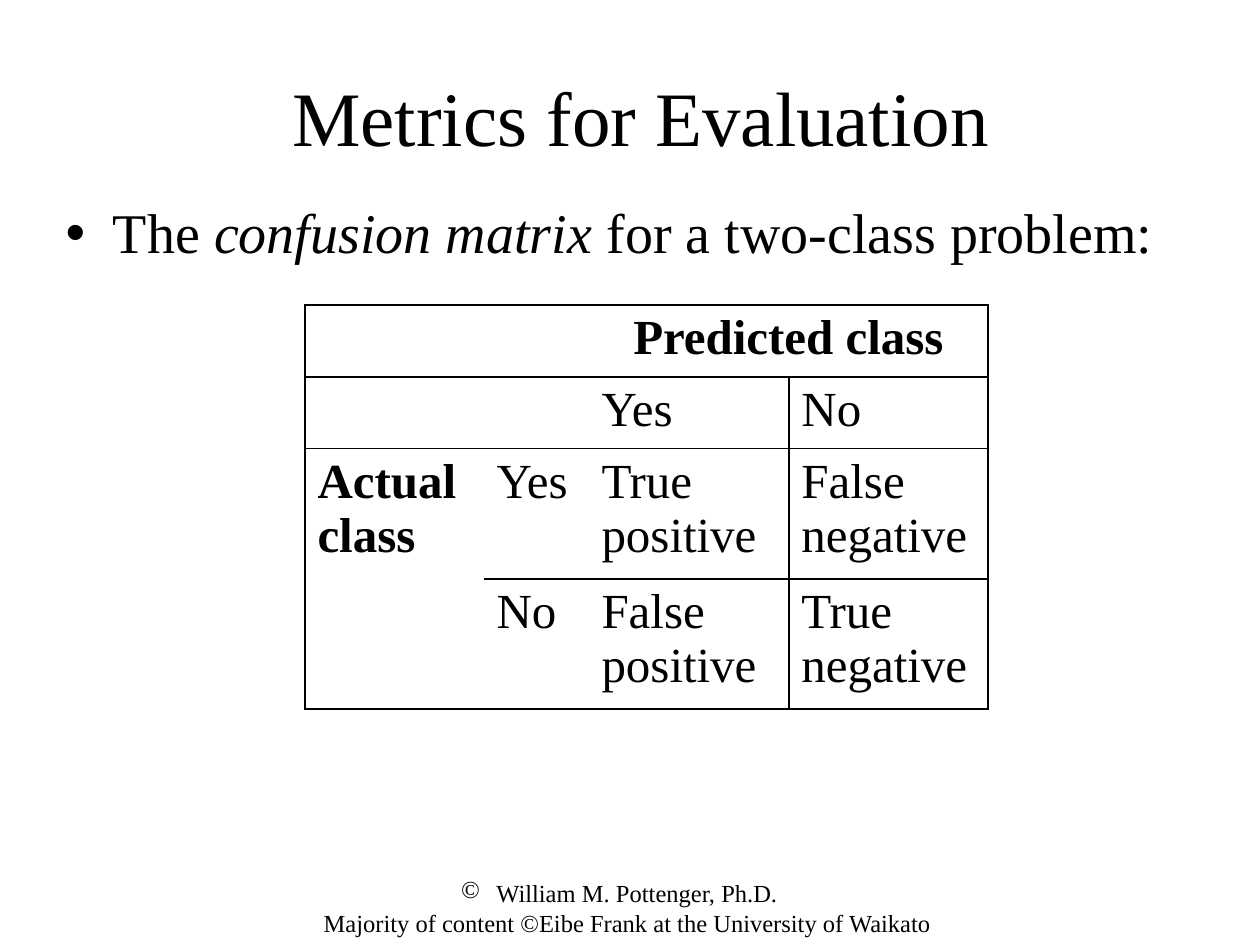
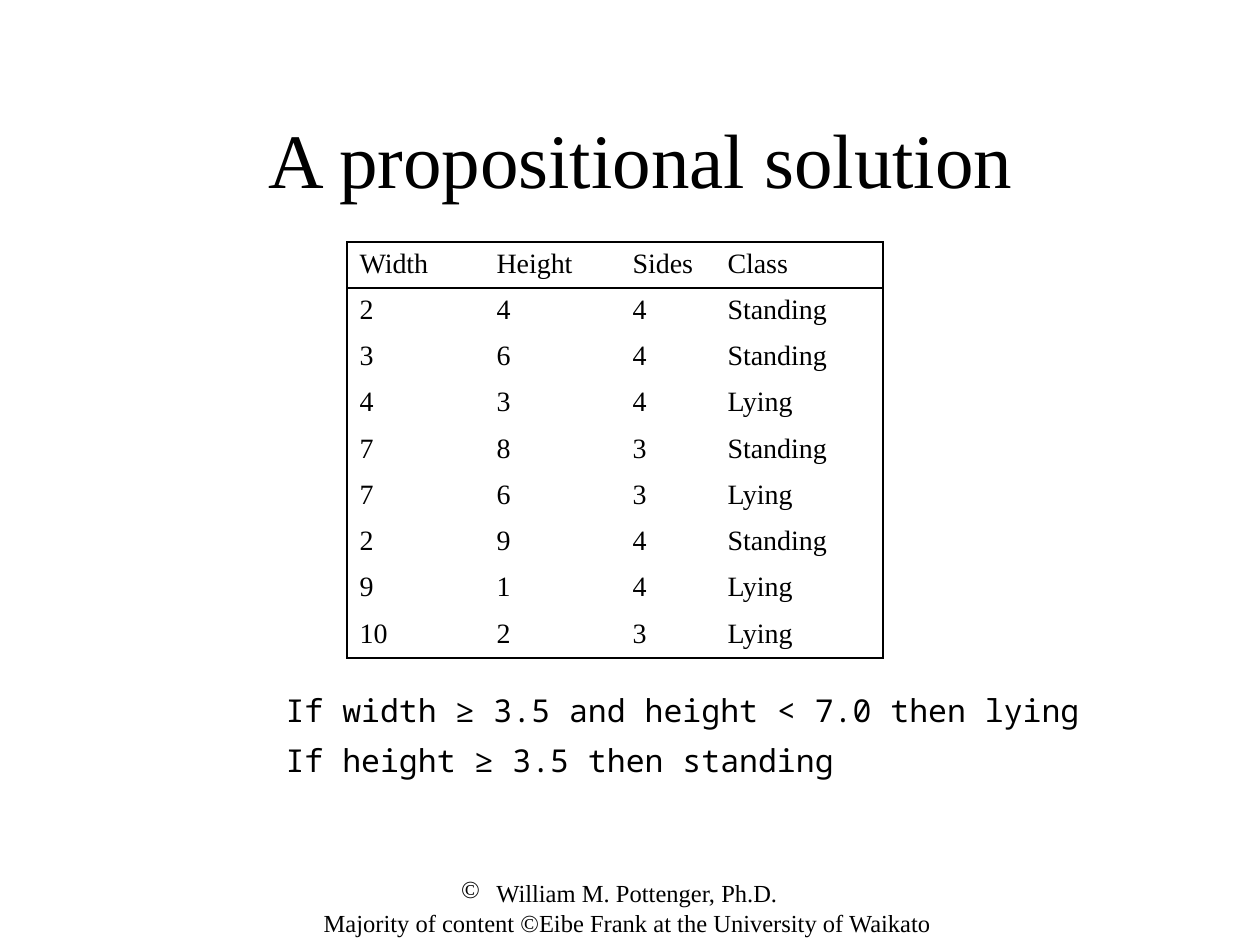
from pptx import Presentation
from pptx.dml.color import RGBColor
from pptx.enum.text import MSO_ANCHOR, MSO_AUTO_SIZE, PP_ALIGN
from pptx.oxml.ns import qn
from pptx.util import Emu, Pt
from lxml.etree import SubElement

PX_PER_INCH = 126
INK = "000000"
SERIF, MONO = "Times New Roman", "Noto Sans Mono"
TITLE_AND_CONTENT, TITLE_ONLY = 1, 5
FOOTER_BOX = (283, 872, 683, 42)


def px(length):
    """Turn a length in px into EMU."""
    return Emu(round(length * 914400 / PX_PER_INCH))


def color(hex_code):
    """Turn a hex string into a colour."""
    return RGBColor.from_string(hex_code)


def place(shape, box):
    """Move a shape to a box of left, top, width and height."""
    shape.left, shape.top, shape.width, shape.height = map(px, box)


def add_run(paragraph, text, size, font=SERIF, bold=False, italic=False):
    """Append one formatted run."""
    run = paragraph.add_run()
    run.text = text
    run.font.name, run.font.size = font, Pt(size)
    run.font.bold, run.font.italic = bold, italic
    run.font.color.rgb = color(INK)


def set_space_before(paragraph, percent):
    """Set the space before a paragraph as a share of its line."""
    before = SubElement(paragraph._p.get_or_add_pPr(), qn("a:spcBef"))
    SubElement(before, qn("a:spcPct"), val=str(percent * 1000))


def add_title(slide, text, box):
    """Fill the title placeholder."""
    title = slide.shapes.title
    place(title, box)
    frame = title.text_frame
    frame.auto_size = MSO_AUTO_SIZE.NONE
    frame.vertical_anchor = MSO_ANCHOR.MIDDLE
    frame.paragraphs[0].alignment = PP_ALIGN.CENTER
    add_run(frame.paragraphs[0], text, 44)


def add_footer(slide, box):
    """Add the two centred credit lines."""
    footer = slide.shapes.add_textbox(*map(px, box))
    frame = footer.text_frame
    frame.word_wrap = True
    author, source = frame.paragraphs[0], frame.add_paragraph()
    author.alignment = source.alignment = PP_ALIGN.CENTER
    SubElement(author._p.get_or_add_pPr(), qn("a:buChar"), char="©")
    add_run(author, " William M. Pottenger, Ph.D.", 14)
    add_run(source, " Majority of content ©Eibe Frank at the University of Waikato", 14)


def add_bullet(slide, runs, box):
    """Fill the body placeholder with one bullet of (text, italic) runs."""
    body = slide.placeholders[1]
    place(body, box)
    body.text_frame.auto_size = MSO_AUTO_SIZE.NONE
    bullet = body.text_frame.paragraphs[0]
    bullet.line_spacing = 0.9
    for text, italic in runs:
        add_run(bullet, text, 32, italic=italic)


def rule_cell(cell, sides):
    """Rule the named sides of a cell and clear the others and its fill."""
    properties = cell._tc.get_or_add_tcPr()
    for side in "LRTB":
        line = SubElement(properties, qn(f"a:ln{side}"), w=str(Pt(1)))
        if side in sides:
            ink = SubElement(line, qn("a:solidFill"))
            SubElement(ink, qn("a:srgbClr"), val=INK)
        else:
            SubElement(line, qn("a:noFill"))
    cell.fill.background()


def write_cell(cell, lines, size, font=SERIF, bold=False, centered=False):
    """Write one paragraph per line into a cell."""
    frame = cell.text_frame
    for number, line in enumerate(lines):
        paragraph = frame.add_paragraph() if number else frame.paragraphs[0]
        if centered:
            paragraph.alignment = PP_ALIGN.CENTER
        set_space_before(paragraph, 20)
        add_run(paragraph, line, size, font, bold)


def add_grid(slide, left, top, widths, heights, sides_at):
    """Add a plain table whose rules come from sides_at(row, column)."""
    box = (left, top, sum(widths), sum(heights))
    table = slide.shapes.add_table(len(heights), len(widths), *map(px, box)).table
    table.first_row = table.horz_banding = False
    for column, width in zip(table.columns, widths):
        column.width = px(width)
    for row, height in zip(table.rows, heights):
        row.height = px(height)
    for row in range(len(heights)):
        for column in range(len(widths)):
            rule_cell(table.cell(row, column), sides_at(row, column))
    return table


def confusion_sides(row, column):
    """Name the ruled sides of a confusion matrix cell."""
    sides = "TB" + ("L", "", "R", "R")[column]
    return sides + "L" if column == 3 and row else sides


def add_confusion_matrix(slide, left, top):
    """Add the two-class confusion matrix."""
    matrix = add_grid(slide, left, top, (179, 105, 200, 199), (72, 71, 130, 130),
                      confusion_sides)
    for first, last in (((0, 0), (0, 1)), ((0, 2), (0, 3)),
                        ((1, 0), (1, 1)), ((2, 0), (3, 0))):
        matrix.cell(*first).merge(matrix.cell(*last))
    write_cell(matrix.cell(0, 2), ["Predicted class"], 28, bold=True, centered=True)
    write_cell(matrix.cell(2, 0), ["Actual class"], 28, bold=True)
    outcomes = (("", "Yes", "No"),
                ("Yes", "True positive", "False negative"),
                ("No", "False positive", "True negative"))
    for row, labels in enumerate(outcomes, 1):
        for column, label in enumerate(labels, 1):
            if label:
                write_cell(matrix.cell(row, column), [label], 28)


def add_shapes_data(slide, left, top):
    """Add the table of block measurements and classes."""
    records = (("Width", "Height", "Sides", "Class"),
               (2, 4, 4, "Standing"),
               (3, 6, 4, "Standing"),
               (4, 3, 4, "Lying"),
               (7, 8, 3, "Standing"),
               (7, 6, 3, "Lying"),
               (2, 9, 4, "Standing"),
               (9, 1, 4, "Lying"),
               (10, 2, 3, "Lying"))
    last = len(records) - 1

    def sides_at(row, column):
        """Rule the frame and the line under the header."""
        vertical = {0: "L", 3: "R"}.get(column, "")
        return vertical + {0: "TB", 1: "T", last: "B"}.get(row, "")

    data = add_grid(slide, left, top, (137, 136, 95, 168), [46] * len(records), sides_at)
    for row, record in enumerate(records):
        for column, value in enumerate(record):
            write_cell(data.cell(row, column), [str(value)], 16)


def add_rules(slide, left, top):
    """Add the classification rules in one unruled cell."""
    rules = add_grid(slide, left, top, [861], [96], lambda row, column: "")
    write_cell(rules.cell(0, 0), ["If width ≥ 3.5 and height < 7.0 then lying",
                                  "If height ≥ 3.5 then standing"], 18, MONO)


def add_slide(deck, layout, title, title_top):
    """Add a slide with the shared footer and title."""
    slide = deck.slides.add_slide(deck.slide_layouts[layout])
    add_footer(slide, FOOTER_BOX)
    add_title(slide, title, (53, title_top, 1176, 147))
    return slide


def build_metrics(deck):
    """Build the slide on evaluation metrics."""
    slide = add_slide(deck, TITLE_AND_CONTENT, "Metrics for Evaluation", 42)
    add_bullet(slide, (("The ", False), ("confusion matrix ", True),
                       ("for a two-class problem:", False)), (53, 199, 1176, 599))
    add_confusion_matrix(slide, 305, 305)


def build_solution(deck):
    """Build the slide on the propositional solution."""
    slide = add_slide(deck, TITLE_ONLY, "A propositional solution", 84)
    add_shapes_data(slide, 347, 242)
    add_rules(slide, 273, 683)


def main():
    """Build and save the deck."""
    deck = Presentation()
    deck.slide_width, deck.slide_height = px(1260), px(945)
    build_metrics(deck)
    build_solution(deck)
    deck.save("out.pptx")


if __name__ == "__main__":
    main()
